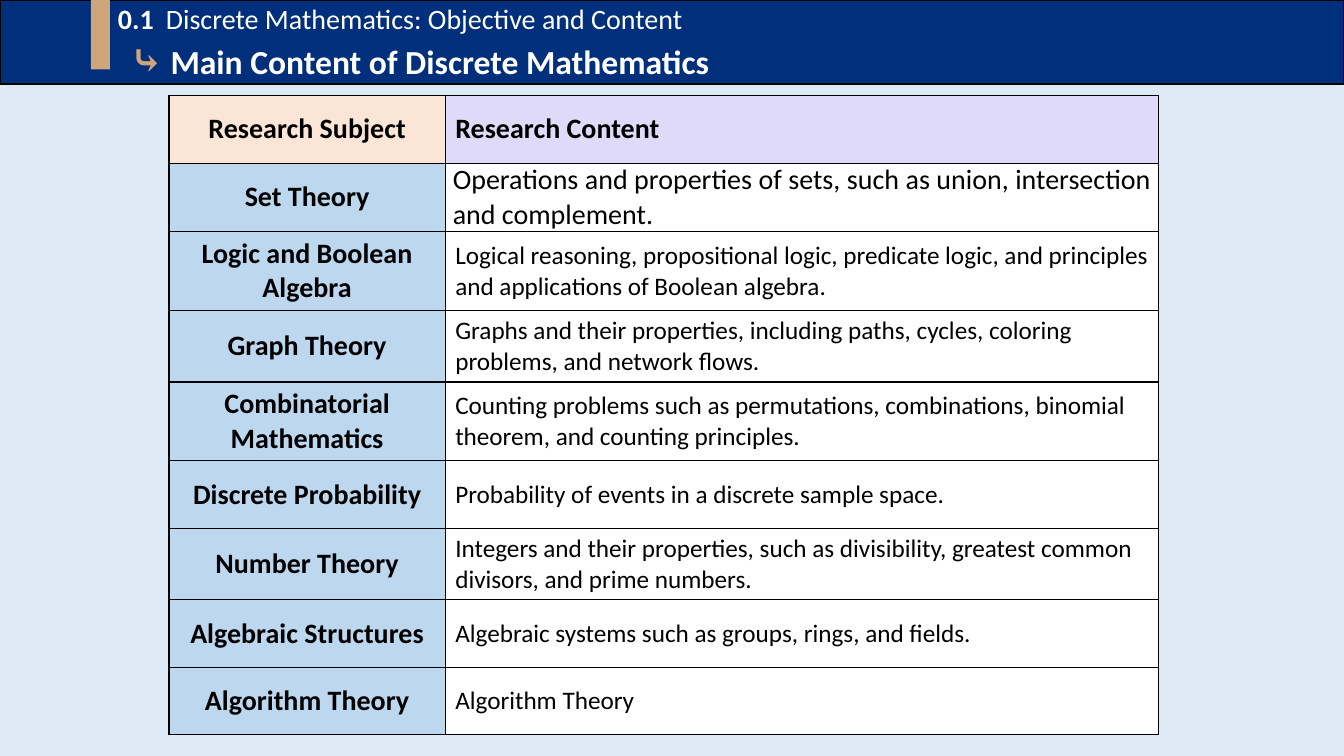
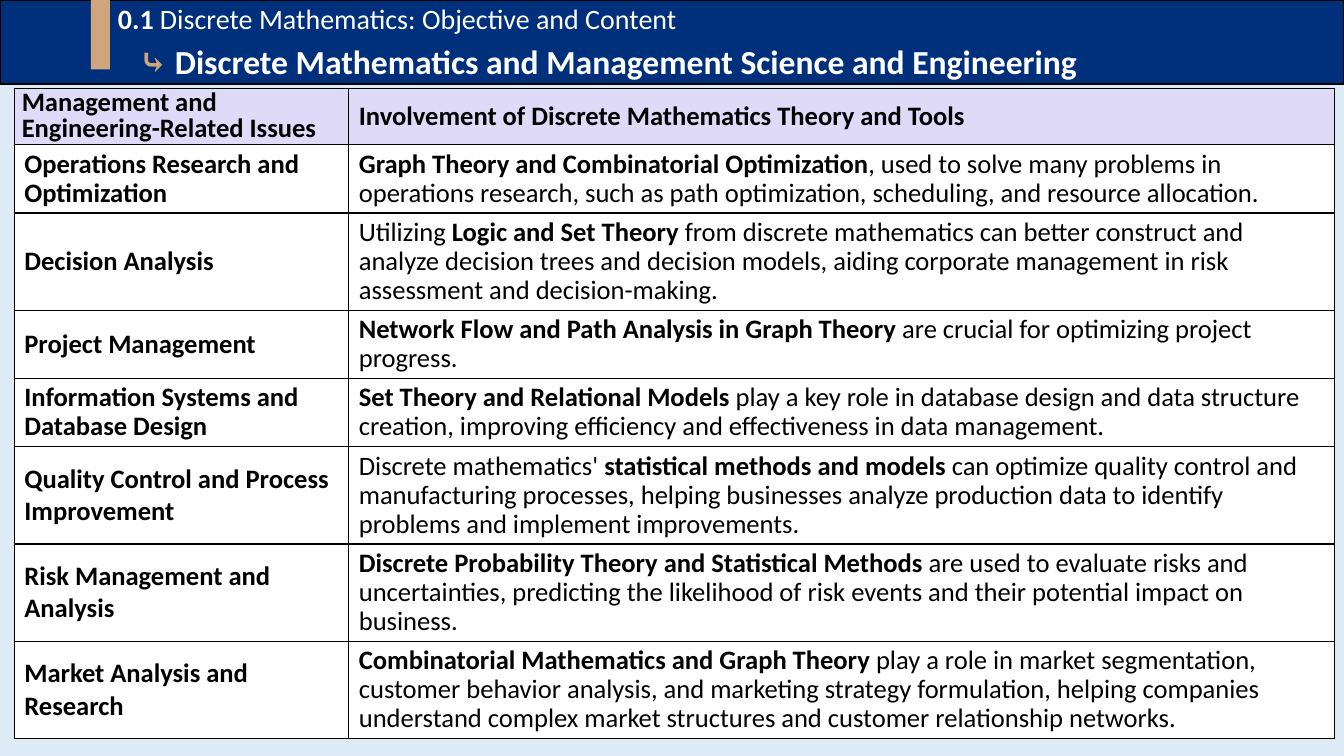
from dataclasses import dataclass

from lxml import etree
from pptx import Presentation
from pptx.dml.color import RGBColor as RGB
from pptx.enum.shapes import MSO_SHAPE as SHAPE
from pptx.enum.text import MSO_ANCHOR as ANCHOR, MSO_AUTO_SIZE as AUTO, PP_ALIGN as ALIGN
from pptx.oxml import parse_xml
from pptx.oxml.ns import nsdecls, qn
from pptx.util import Cm, Pt


@dataclass(frozen=True)
class Theme:
    font: str = "Calibri"
    page: RGB = RGB.from_string("DEEBF7")
    navy: RGB = RGB.from_string("002F7C")
    tan: RGB = RGB.from_string("CFA57C")
    black: RGB = RGB.from_string("000000")
    white: RGB = RGB.from_string("FFFFFF")
    peach: RGB = RGB.from_string("FBE5D6")
    lilac: RGB = RGB.from_string("DEDAF8")
    sky: RGB = RGB.from_string("BDD7EE")
    section_size: int = 20
    title_size: int = 24
    subject_size: int = 20
    content_size: int = 18
    issue_size: int = 19


T = Theme()


@dataclass(frozen=True)
class Cell:
    """Cell content; words between asterisks are bold."""
    text: str
    fill: RGB
    size: int
    align: ALIGN = ALIGN.LEFT
    spacing: float = 1.0
    tight: bool = False


def add_run(p, text, size, color, bold):
    r = p.add_run()
    r.text = text
    f = r.font
    f.name, f.size, f.bold = T.font, Pt(size), bold
    f.color.rgb = color


def format_cell(cell, c):
    tcPr = cell._tc.get_or_add_tcPr()
    for side in ("lnL", "lnR", "lnT", "lnB"):
        tcPr.append(parse_xml(
            f'<a:{side} {nsdecls("a")} w="12700"><a:solidFill>'
            f'<a:srgbClr val="{T.black}"/></a:solidFill></a:{side}>'))
    cell.fill.solid()
    cell.fill.fore_color.rgb = c.fill
    cell.vertical_anchor = ANCHOR.MIDDLE
    if c.tight:
        cell.margin_left = cell.margin_right = Cm(0.19)
        cell.margin_top = cell.margin_bottom = 0
    p = cell.text_frame.paragraphs[0]
    p.alignment = c.align
    p.line_spacing = c.spacing
    for i, part in enumerate(c.text.split("*")):
        if part:
            add_run(p, part, c.size, T.black, i % 2 == 1)


subjects = [
    ("Set Theory", "Operations and properties of sets, such as union, intersection and complement."),
    ("Logic and Boolean Algebra", "Logical reasoning, propositional logic, predicate logic, "
     "and principles and applications of Boolean algebra."),
    ("Graph Theory", "Graphs and their properties, including paths, cycles, coloring problems, "
     "and network flows."),
    ("Combinatorial Mathematics", "Counting problems such as permutations, combinations, "
     "binomial theorem, and counting principles."),
    ("Discrete Probability", "Probability of events in a discrete sample space."),
    ("Number Theory", "Integers and their properties, such as divisibility, "
     "greatest common divisors, and prime numbers."),
    ("Algebraic Structures", "Algebraic systems such as groups, rings, and fields."),
    ("Algorithm Theory", "Algorithm Theory"),
]
subject_rows = [[Cell("*Research Subject*", T.peach, T.subject_size, ALIGN.CENTER),
                 Cell("*Research Content*", T.lilac, T.subject_size)]]
for subject, content in subjects:
    subject_rows.append([Cell(f"*{subject}*", T.sky, T.subject_size, ALIGN.CENTER),
                         Cell(content, T.white, T.content_size)])
# The first topic is set larger and justified
subject_rows[1][1] = Cell(subjects[0][1], T.white, T.subject_size, ALIGN.JUSTIFY, tight=True)

# Issue, its line spacing, row height in cm, tools involved
issues = [
    ("Operations Research and Optimization", 0.9, 1.68,
     "*Graph Theory and Combinatorial Optimization*, used to solve many problems in operations "
     "research, such as path optimization, scheduling, and resource allocation."),
    ("Decision Analysis", 1.0, 2.41,
     "Utilizing *Logic and Set Theory* from discrete mathematics can better construct and analyze "
     "decision trees and decision models, aiding corporate management in risk assessment and "
     "decision-making."),
    ("Project Management", 1.0, 1.68,
     "*Network Flow and Path Analysis in Graph Theory* are crucial for optimizing project progress."),
    ("Information Systems and Database Design", 0.9, 1.68,
     "*Set Theory and Relational Models* play a key role in database design and data structure "
     "creation, improving efficiency and effectiveness in data management."),
    ("Quality Control and Process Improvement", 1.0, 2.41,
     "Discrete mathematics' *statistical methods and models* can optimize quality control and "
     "manufacturing processes, helping businesses analyze production data to identify problems "
     "and implement improvements."),
    ("Risk Management and Analysis", 1.0, 2.41,
     "*Discrete Probability Theory and Statistical Methods* are used to evaluate risks and "
     "uncertainties, predicting the likelihood of risk events and their potential impact on business."),
    ("Market Analysis and Research", 1.0, 2.41,
     "*Combinatorial Mathematics and Graph Theory* play a role in market segmentation, customer "
     "behavior analysis, and marketing strategy formulation, helping companies understand complex "
     "market structures and customer relationship networks."),
]
issue_rows = [[Cell("*Management and Engineering-Related Issues*", T.lilac, T.issue_size,
                    spacing=0.8, tight=True),
               Cell("*Involvement of Discrete Mathematics Theory and Tools*", T.lilac, T.issue_size)]]
for issue, spacing, _, tools in issues:
    issue_rows.append([Cell(f"*{issue}*", T.white, T.issue_size, spacing=spacing),
                       Cell(tools, T.white, T.issue_size, spacing=0.9)])

# tab: where the section name starts; marker: (text, size) pairs before the title
pages = [
    dict(title="Main Content of Discrete Mathematics", tab=1.21,
         marker=[("⤷", 28), (" ", T.title_size)],
         left=4.26, top=2.41, widths=[6.96, 17.98],
         heights=[1.7] * len(subject_rows), rows=subject_rows),
    dict(title="Discrete Mathematics and Management Science and Engineering", tab=1.06,
         marker=[(" ", 28), ("⤷ ", T.title_size)],
         left=0.36, top=2.23, widths=[8.43, 24.84],
         heights=[1.42] + [issue[2] for issue in issues], rows=issue_rows),
]

prs = Presentation()
prs.slide_width, prs.slide_height = Cm(33.87), Cm(19.05)
bg = prs.slide_master.background.fill
bg.solid()
bg.fore_color.rgb = T.page
title_only = prs.slide_layouts[5]

for page in pages:
    s = prs.slides.add_slide(title_only)

    # Title band: section line, then the slide title
    band = s.shapes.title
    band.left, band.top, band.width, band.height = 0, 0, prs.slide_width, Cm(2.12)
    band.fill.solid()
    band.fill.fore_color.rgb = T.navy
    band.line.color.rgb = T.black
    band.line.width = Pt(1)
    tf = band.text_frame
    tf.auto_size = AUTO.NONE
    tf.word_wrap = True
    tf.vertical_anchor = ANCHOR.MIDDLE
    tf.margin_left = Cm(2.97)
    section, heading = tf.paragraphs[0], tf.add_paragraph()
    section.alignment = heading.alignment = ALIGN.LEFT
    tabs = etree.SubElement(section._p.get_or_add_pPr(), qn("a:tabLst"))
    etree.SubElement(tabs, qn("a:tab"), pos=str(Cm(page["tab"])), algn="l")
    add_run(section, "0.1\t", T.section_size, T.white, True)
    add_run(section, "Discrete Mathematics: Objective and Content", T.section_size, T.white, False)
    heading._p.get_or_add_pPr().set("marL", str(Cm(0.31)))
    for text, size in page["marker"]:
        add_run(heading, text, size, T.tan, True)
    add_run(heading, page["title"], T.title_size, T.white, True)

    accent = s.shapes.add_shape(SHAPE.RECTANGLE, Cm(2.29), 0, Cm(0.48), Cm(1.75))
    accent.shadow.inherit = False
    accent.fill.solid()
    accent.fill.fore_color.rgb = T.tan
    accent.line.fill.background()

    rows, widths, heights = page["rows"], page["widths"], page["heights"]
    table = s.shapes.add_table(len(rows), len(widths), Cm(page["left"]), Cm(page["top"]),
                               Cm(sum(widths)), Cm(sum(heights))).table
    table.first_row = table.horz_banding = False
    for column, width in zip(table.columns, widths):
        column.width = Cm(width)
    for row, height, contents in zip(table.rows, heights, rows):
        row.height = Cm(height)
        for cell, content in zip(row.cells, contents):
            format_cell(cell, content)

prs.save("out.pptx")
